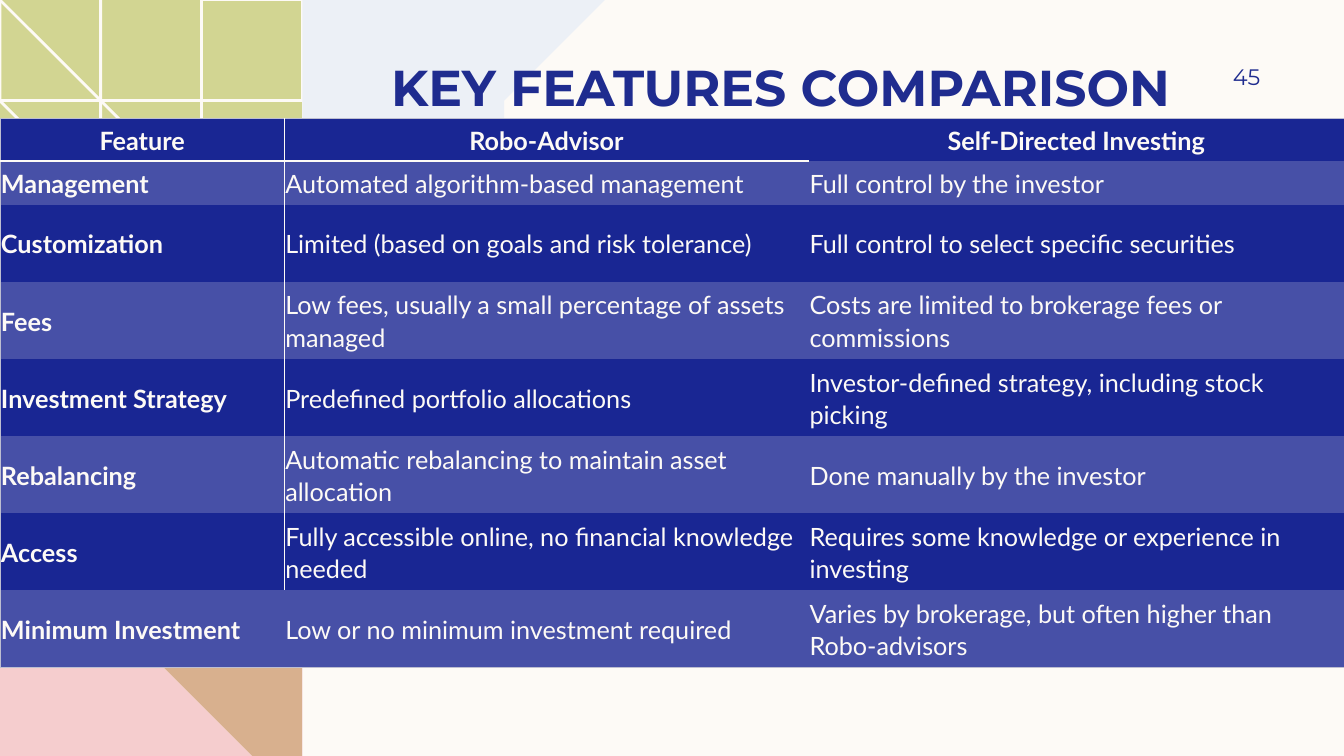
import math
from lxml import etree
from pptx import Presentation
from pptx.dml.color import RGBColor
from pptx.enum import text
from pptx.oxml import ns
from pptx.util import Inches, Pt

CREAM = RGBColor(0xFD, 0xFA, 0xF6)
GREEN = RGBColor(0xD2, 0xD5, 0x92)
ROSE = RGBColor(0xDE, 0x8C, 0x8C)
PINK = RGBColor(0xF5, 0xCD, 0xCE)
SKY = RGBColor(0xDD, 0xE7, 0xF6)
INK = RGBColor(0x1F, 0x2C, 0x8F)
NAVY = RGBColor(0x19, 0x26, 0x93)
INDIGO = RGBColor(0x47, 0x50, 0xA7)
GREY = RGBColor(0xBD, 0xBE, 0xD1)

LEFT, CENTER, RIGHT = text.PP_ALIGN.LEFT, text.PP_ALIGN.CENTER, text.PP_ALIGN.RIGHT
MIDDLE, BOTTOM = text.MSO_ANCHOR.MIDDLE, text.MSO_ANCHOR.BOTTOM

ROWS = [
    ("Feature", "Robo-Advisor", "Self-Directed Investing"),
    ("Management", "Automated algorithm-based management",
     "Full control by the investor"),
    ("Customization", "Limited (based on goals and risk tolerance)",
     "Full control to select specific securities"),
    ("Fees", "Low fees, usually a small percentage of assets managed",
     "Costs are limited to brokerage fees or commissions"),
    ("Investment Strategy", "Predefined portfolio allocations",
     "Investor-defined strategy, including stock picking"),
    ("Rebalancing", "Automatic rebalancing to maintain asset allocation",
     "Done manually by the investor"),
    ("Access", "Fully accessible online, no financial knowledge needed",
     "Requires some knowledge or experience in investing"),
    ("Minimum Investment", "Low or no minimum investment required",
     "Varies by brokerage, but often higher than Robo-advisors"),
]


def write(tf, words, size, color, font, bold=False, align=LEFT, spacing=None, after=0):
    p = tf.paragraphs[0]
    p.alignment = align
    p.space_after = Pt(after)
    if spacing:
        p.line_spacing = spacing
    r = p.add_run()
    r.text = words
    r.font.size, r.font.bold, r.font.name = Pt(size), bold, font
    r.font.color.rgb = color


def add_text(slide, box, words, anchor, insets, **fmt):
    tf = slide.shapes.add_textbox(*map(Inches, box)).text_frame
    tf.word_wrap = True
    tf.vertical_anchor = anchor
    tf.margin_left, tf.margin_top, tf.margin_right, tf.margin_bottom = map(Inches, insets)
    write(tf, words, font="Montserrat", color=INK, **fmt)


def add_polygon(slide, points, color, alpha=None):
    fb = slide.shapes.build_freeform(*points[0], scale=Inches(1))
    fb.add_line_segments(points[1:], close=True)
    sp = fb.convert_to_shape()
    sp.shadow.inherit = False
    sp.line.fill.background()
    sp.fill.solid()
    sp.fill.fore_color.rgb = color
    if alpha:
        clr = sp.fill._xPr.find(".//" + ns.qn("a:srgbClr"))
        etree.SubElement(clr, ns.qn("a:alpha"), val=str(alpha * 1000))


def arc(cx, cy, radius, start, end, steps=12):
    angles = [math.radians(start + (end - start) * i / steps) for i in range(steps + 1)]
    return [(cx + radius * math.cos(a), cy + radius * math.sin(a)) for a in angles]


def add_rings(slide, cx, cy, radius, count, gap):
    """Concentric quarter rings, drawn as the strokes of one outline."""
    rings = [arc(cx, cy, radius - i * gap, 90, 180) for i in range(count)]
    fb = slide.shapes.build_freeform(*rings[0][0], scale=Inches(1))
    for ring in rings:
        fb.move_to(*ring[0])
        fb.add_line_segments(ring[1:], close=False)
    sp = fb.convert_to_shape()
    sp.shadow.inherit = False
    sp.fill.background()
    sp.line.color.rgb = CREAM
    sp.line.width = Pt(2)


def add_side_band(slide, left, top, width, height):
    right, bottom = left + width, top + height
    add_polygon(slide, [(left, top), (right, top), (right, bottom), (left, bottom)], GREEN)
    add_rings(slide, right, top, width - 0.01, count=17, gap=0.15)
    # Two triangles forming the bottom square
    square = bottom - width
    add_polygon(slide, [(left, square), (right, square), (right, bottom)], ROSE, alpha=50)
    add_polygon(slide, [(left, square), (right, bottom), (left, bottom)], PINK)
    # Pale quarter disc beside the band
    add_polygon(slide, [(right, top)] + arc(right, top, 2.8, 0, 90), SKY, alpha=50)


def set_borders(cell, borders):
    """Draw the given sides, as side: (color, points), and clear the others."""
    tcPr = cell._tc.get_or_add_tcPr()
    for i, side in enumerate("LRTB"):
        ln = etree.Element(ns.qn("a:ln" + side))
        if side in borders:
            color, points = borders[side]
            ln.set("w", str(Pt(points)))
            fill = etree.SubElement(ln, ns.qn("a:solidFill"))
            etree.SubElement(fill, ns.qn("a:srgbClr"), val=str(color))
        else:
            etree.SubElement(ln, ns.qn("a:noFill"))
        tcPr.insert(i, ln)


def cell_borders(row, col):
    last_row, last_col = len(ROWS) - 1, len(ROWS[0]) - 1
    edge, divider, rule = (GREY, 0.5), (CREAM, 1), (CREAM, 1.5)
    borders = {}
    if row == 0:
        borders["T"] = edge
    if row == last_row:
        borders["B"] = edge
    if col == 0:
        borders["L"] = edge
    if col == last_col:
        borders["R"] = edge
    # Divider after the feature names, rule under the header
    if row < last_row and col < 2:
        borders["R" if col == 0 else "L"] = divider
    if row < 2 and col < last_col:
        borders["B" if row == 0 else "T"] = rule
    return borders


def add_comparison(slide, left, top, width, height):
    frame = slide.shapes.add_table(len(ROWS), len(ROWS[0]),
                                   *map(Inches, (left, top, width, height)))
    table = frame.table
    # Plain style without a grid
    style = table._tbl.tblPr.find(ns.qn("a:tableStyleId"))
    style.text = "{2D5ABB26-0587-4C30-8999-92F81FD0307C}"
    for col, w in zip(table.columns, (2.82, 5.2, width - 8.02)):
        col.width = Inches(w)
    short = 0.43
    tall = (height - 2 * short) / (len(ROWS) - 2)
    for r, row in enumerate(ROWS):
        table.rows[r].height = Inches(short if r < 2 else tall)
        for c, words in enumerate(row):
            cell = table.cell(r, c)
            cell.vertical_anchor = MIDDLE
            cell.margin_left = cell.margin_right = Inches(0.01)
            cell.margin_top = cell.margin_bottom = Inches(0.01)
            cell.fill.solid()
            cell.fill.fore_color.rgb = INDIGO if r % 2 else NAVY
            write(cell.text_frame, words, 18, CREAM, "Lato", bold=r == 0 or c == 0,
                  align=CENTER if r == 0 else LEFT, spacing=1.07, after=8)
            set_borders(cell, cell_borders(r, c))


def main():
    prs = Presentation()
    prs.slide_width, prs.slide_height = Inches(13.33), Inches(7.5)
    slide = prs.slides.add_slide(prs.slide_layouts[6])
    slide.background.fill.solid()
    slide.background.fill.fore_color.rgb = CREAM

    add_side_band(slide, -0.01, 0, 2.79, 7.5)
    # Title and slide number
    add_text(slide, (3.78, 0.32, 8.71, 0.84), "KEY FEATURES COMPARISON", BOTTOM,
             (0.1, 0, 0.1, 0), size=36, bold=True)
    add_text(slide, (11.33, 0.5, 1.17, 0.52), "45", MIDDLE,
             (0.1, 0.05, 0, 0.05), size=16, align=RIGHT, after=6)
    add_comparison(slide, 0, 1.17, 13.33, 5.45)
    prs.save("out.pptx")


if __name__ == "__main__":
    main()
